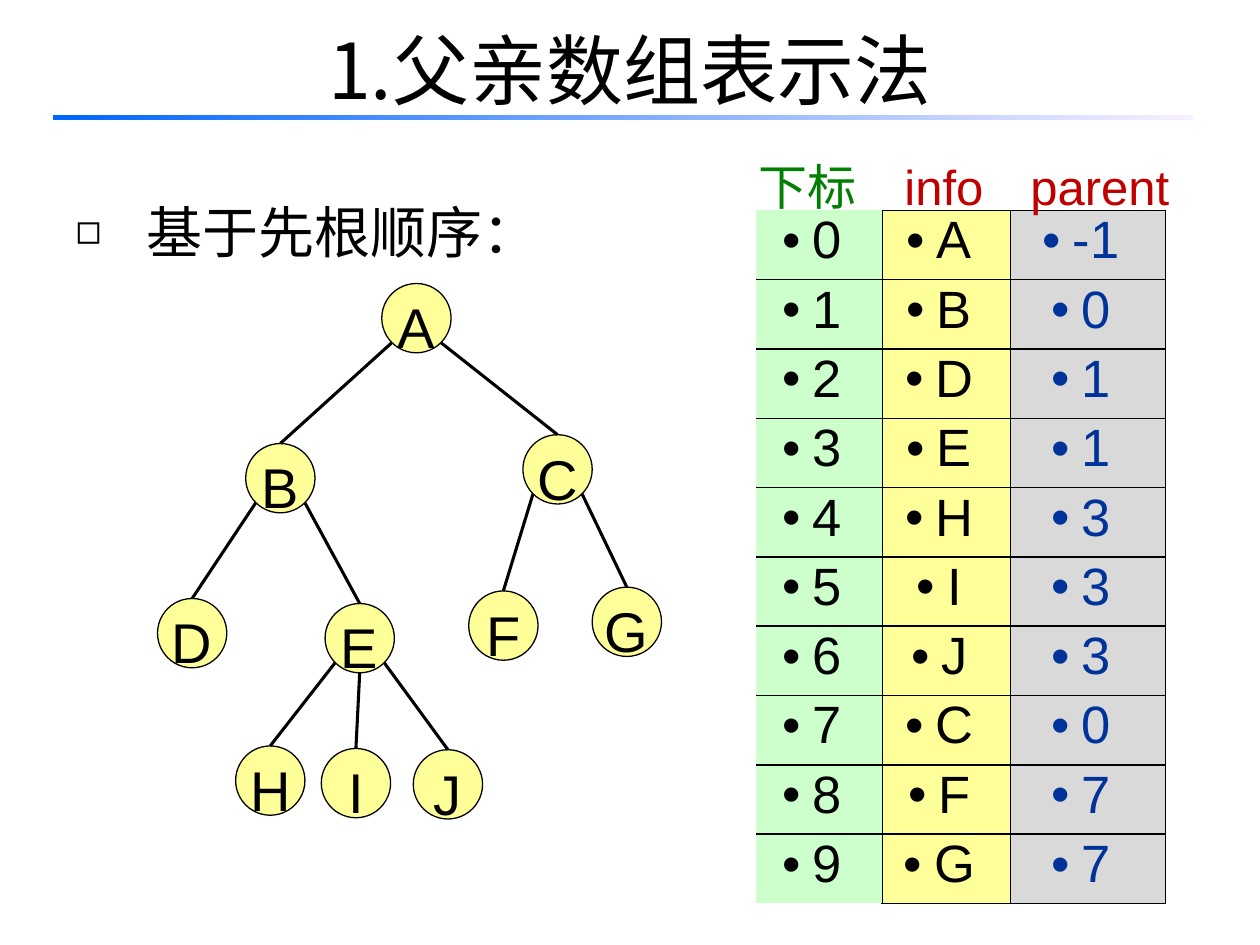
from dataclasses import dataclass
from math import sqrt

from lxml.etree import SubElement
from pptx import Presentation
from pptx.dml.color import RGBColor
from pptx.enum.shapes import MSO_CONNECTOR, MSO_SHAPE
from pptx.enum.text import MSO_ANCHOR, MSO_AUTO_SIZE, PP_ALIGN
from pptx.oxml.ns import qn
from pptx.util import Inches, Pt

COLORS = {
    "text": "000000", "node": "FFFF99", "parent": "003399", "parent_fill": "D9D9D9",
    "index_fill": "CCFFCC", "index_label": "008000", "label": "C00000",
    "rule_start": "0066FF", "rule_end": "F7EFFF",
}
CJK_FONT = "Noto Sans CJK SC"
DIAMETER = 0.55
ROW_HEIGHT = 0.55
TABLE_TOP = 1.67
CELL_INDENT = 0.24
CELL_RIGHT_MARGIN = 0.21


@dataclass
class Node:
    name: str
    left: float
    top: float
    parent: str = ""
    side: int = 0  # -1 left, 0 bottom, 1 right of the parent

    @property
    def center(self):
        return self.left + DIAMETER / 2, self.top + DIAMETER / 2


@dataclass
class Column:
    key: str
    fill: str
    color: str


@dataclass
class Label:
    text: str
    left: float
    width: float
    color: str


NODES = [
    Node("A", 3.03, 2.25), Node("B", 1.95, 3.52, "A", -1), Node("C", 4.15, 3.45, "A", 1),
    Node("D", 1.25, 4.75, "B", -1), Node("E", 2.58, 4.79, "B", 1),
    Node("F", 3.72, 4.69, "C", -1), Node("G", 4.7, 4.66, "C", 1),
    Node("H", 1.87, 5.92, "E", -1), Node("I", 2.55, 5.94, "E"), Node("J", 3.28, 5.95, "E", 1),
]
PREORDER = "ABDEHIJCFG"
LABELS = [
    Label("下标", 5.92, 1.08, "index_label"),
    Label("info", 7.08, 1.08, "label"),
    Label("parent", 8.08, 1.42, "label"),
]


def rgb(key: str) -> RGBColor:
    return RGBColor.from_string(COLORS[key])


def write(frame, text: str, size: float, color: str = "text", font_name: str = "Arial", **formats):
    """Put one formatted paragraph into a text frame and return it."""
    paragraph = frame.paragraphs[0]
    for name, value in formats.items():
        setattr(paragraph, name, value)
    run = paragraph.add_run()
    run.text = text
    for name, value in {"size": Pt(size), "name": font_name, "bold": False}.items():
        setattr(run.font, name, value)
    run.font.color.rgb = rgb(color)
    SubElement(run.font._element, qn("a:ea"), typeface=CJK_FONT)
    return paragraph


def add_bullet(paragraph, character: str, indent: float, percent: int = 100,
               font_name: str = "") -> None:
    properties = paragraph._p.get_or_add_pPr()
    properties.set("marL", str(Inches(indent)))
    properties.set("indent", str(-Inches(indent)))
    SubElement(properties, qn("a:buSzPct"), val=str(percent * 1000))
    if font_name:
        SubElement(properties, qn("a:buFont"), typeface=font_name)
    SubElement(properties, qn("a:buChar"), char=character)


def place(shape, left: float, top: float, width: float, height: float) -> None:
    box = {"left": left, "top": top, "width": width, "height": height}
    for name, value in box.items():
        setattr(shape, name, Inches(value))


def add_rule(slide) -> None:
    shape = slide.shapes.add_shape(
        MSO_SHAPE.RECTANGLE, Inches(0.42), Inches(0.91), Inches(9.05), Inches(0.04))
    shape.shadow.inherit = False
    shape.line.fill.background()
    shape.fill.gradient()
    shape.fill.gradient_angle = 0
    for stop, color in zip(shape.fill.gradient_stops, ("rule_start", "rule_end")):
        stop.color.rgb = rgb(color)


def add_edge(slide, parent: Node, child: Node) -> None:
    """Join the parent's lower rim to the top of the child."""
    radius = DIAMETER / 2
    reach = radius / sqrt(2) if child.side else radius
    x, y = parent.center
    line = slide.shapes.add_connector(
        MSO_CONNECTOR.STRAIGHT, Inches(x + child.side * reach), Inches(y + reach),
        Inches(child.center[0]), Inches(child.top))
    line.line.color.rgb = rgb("text")
    line.line.width = Pt(1.75)
    SubElement(line._element.spPr, qn("a:effectLst"))


def add_node(slide, node: Node) -> None:
    shape = slide.shapes.add_shape(
        MSO_SHAPE.OVAL, Inches(node.left), Inches(node.top), Inches(DIAMETER), Inches(DIAMETER))
    shape.shadow.inherit = False
    shape.fill.solid()
    shape.fill.fore_color.rgb = rgb("node")
    shape.line.color.rgb = rgb("text")
    shape.line.width = Pt(0.75)
    frame = shape.text_frame
    frame.word_wrap = False
    frame.vertical_anchor = MSO_ANCHOR.MIDDLE
    write(frame, node.name, 32, alignment=PP_ALIGN.CENTER, line_spacing=1.25)


def set_borders(cell, visible: dict[str, bool]) -> None:
    properties = cell._tc.get_or_add_tcPr()
    for side, shown in visible.items():
        line = SubElement(properties, qn(f"a:ln{side}"), w=str(Pt(1)))
        if shown:
            fill = SubElement(line, qn("a:solidFill"))
            SubElement(fill, qn("a:srgbClr"), val=COLORS["text"])
        else:
            SubElement(line, qn("a:noFill"))


def add_array(slide, left: float, widths: list[float], columns: list[Column],
              rows: list[dict[str, str]], framed: bool) -> None:
    frame = slide.shapes.add_table(
        len(rows), len(columns), Inches(left), Inches(TABLE_TOP),
        Inches(sum(widths)), Inches(ROW_HEIGHT * len(rows)))
    table = frame.table
    table.first_row = table.horz_banding = False
    for table_column, width in zip(table.columns, widths):
        table_column.width = Inches(width)
    for row_number, row in enumerate(rows):
        table.rows[row_number].height = Inches(ROW_HEIGHT)
        for column_number, column in enumerate(columns):
            cell = table.cell(row_number, column_number)
            cell.margin_right = Inches(CELL_RIGHT_MARGIN)
            set_borders(cell, {
                "L": framed, "R": framed,
                "T": framed or row_number > 0, "B": framed or row_number < len(rows) - 1})
            cell.fill.solid()
            cell.fill.fore_color.rgb = rgb(column.fill)
            paragraph = write(cell.text_frame, row[column.key], 30, column.color,
                              alignment=PP_ALIGN.CENTER, line_spacing=0.9)
            add_bullet(paragraph, "•", CELL_INDENT, font_name="Arial")


def add_label(slide, label: Label) -> None:
    box = slide.shapes.add_textbox(
        Inches(label.left), Inches(1.08), Inches(label.width), Inches(0.58))
    box.text_frame.word_wrap = True
    write(box.text_frame, label.text, 28, label.color, line_spacing=1.25)


def main() -> None:
    presentation = Presentation()
    presentation.slide_width, presentation.slide_height = Inches(10), Inches(7.5)
    slide = presentation.slides.add_slide(presentation.slide_layouts[1])

    title, body = slide.placeholders
    place(title, 0.5, -0.08, 9, 1.25)
    place(body, 0.5, 1.25, 9.5, 5.76)
    for placeholder in (title, body):
        placeholder.text_frame.auto_size = MSO_AUTO_SIZE.NONE
    title.text_frame.vertical_anchor = MSO_ANCHOR.MIDDLE
    write(title.text_frame, "1.父亲数组表示法", 44, font_name=CJK_FONT, alignment=PP_ALIGN.CENTER)
    heading = write(body.text_frame, "基于先根顺序：", 32, line_spacing=1.5, space_before=Pt(0))
    add_bullet(heading, "◻", 0.56, 75)
    add_rule(slide)

    nodes = {node.name: node for node in NODES}
    for node in NODES:
        add_node(slide, node)
        if node.parent:
            add_edge(slide, nodes[node.parent], node)

    rows = [{"index": str(index), "info": name,
             "parent": str(PREORDER.index(nodes[name].parent) if nodes[name].parent else -1)}
            for index, name in enumerate(PREORDER)]
    add_array(slide, 7, [1.02, 1.23],
              [Column("info", "node", "text"), Column("parent", "parent_fill", "parent")],
              rows, True)
    add_array(slide, 6, [1], [Column("index", "index_fill", "text")], rows, False)
    for label in LABELS:
        add_label(slide, label)
    presentation.save("out.pptx")


if __name__ == "__main__":
    main()
